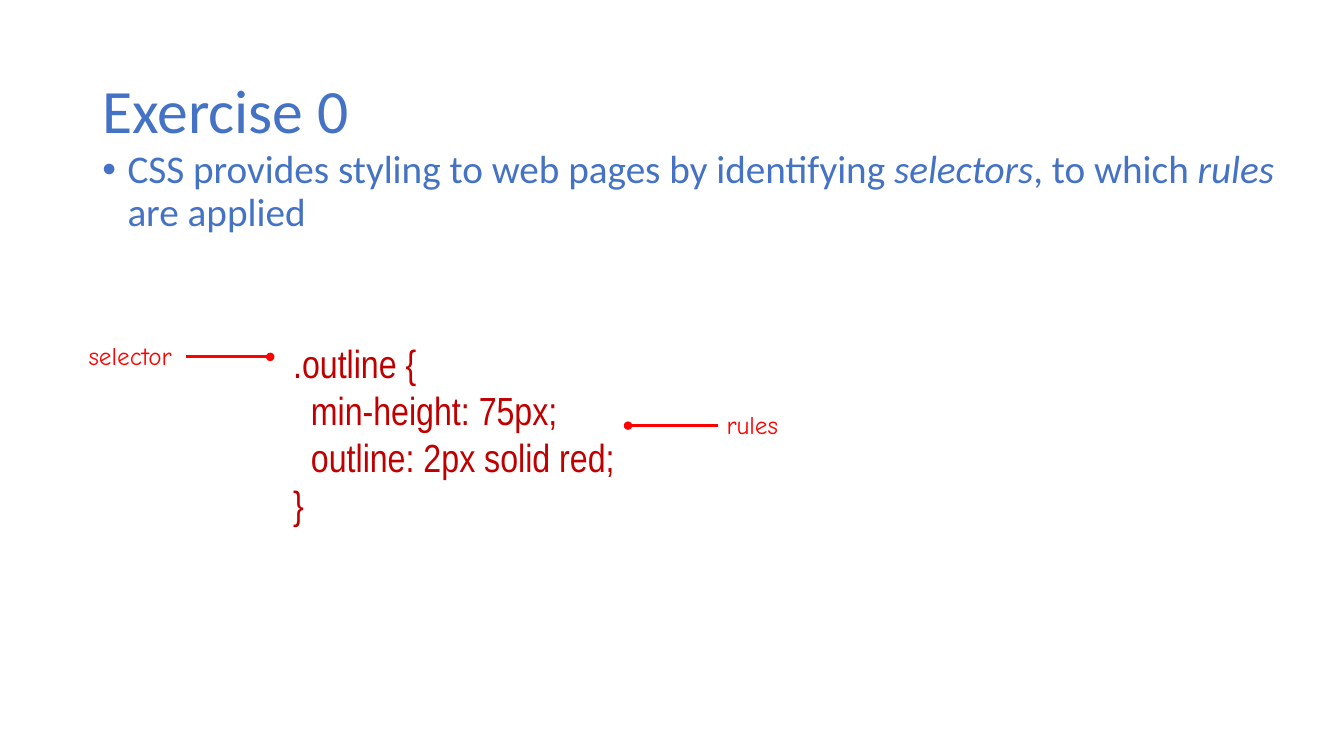
from lxml.etree import SubElement
from pptx import Presentation
from pptx.dml.color import RGBColor
from pptx.enum.shapes import MSO_CONNECTOR
from pptx.enum.text import MSO_ANCHOR, PP_ALIGN
from pptx.oxml.ns import qn
from pptx.util import Pt

COLORS = {"blue": "4472C4", "code": "C00000", "note": "FF0000"}

TITLE = "Exercise 0"
INTRO = [  # (text, italic)
    ("CSS provides styling to web pages by identifying ", False),
    ("selectors", True),
    (", to which ", False),
    ("rules ", True),
    ("are applied", False),
]
CODE = [  # (text, indent level)
    (".outline {", 0),
    ("min-height: 75px;", 1),
    ("outline: 2px solid red;", 1),
    ("}", 0),
]
CODE_INDENT = 12.75
LABELS = [  # (text, label left, label width, line start, line end, line y)
    ("selector", 56.2, 103, 133.2, 193, 254.9),
    ("rules", 511.9, 136.8, 512.6, 448.6, 304),
]
LABEL_HEIGHT = 28.8
LABEL_RISE = 15.5  # from the line up to the top of its label


def add_text(p, text, *, size, font, color, italic=False):
    r = p.add_run()
    r.text = text
    r.font.size = Pt(size)
    r.font.name = font
    r.font.italic = italic
    r.font.color.rgb = RGBColor.from_string(COLORS[color])


def add_box(slide, left, top, width, height):
    tf = slide.shapes.add_textbox(Pt(left), Pt(top), Pt(width), Pt(height)).text_frame
    tf.word_wrap = True
    return tf


def set_indent(p, margin, first=0, bullet=None):
    pPr = p._p.get_or_add_pPr()
    pPr.set("marL", str(Pt(margin)))
    pPr.set("indent", str(Pt(first)))
    if bullet:
        SubElement(pPr, qn("a:buFont"), typeface="Arial")
        SubElement(pPr, qn("a:buChar"), char=bullet)


def add_pointer(slide, start, end, y):
    """Draw a horizontal line with a dot at its end."""
    line = slide.shapes.add_connector(
        MSO_CONNECTOR.STRAIGHT, Pt(start), Pt(y), Pt(end), Pt(y))
    line.line.color.rgb = RGBColor.from_string(COLORS["note"])
    line.line.width = Pt(2)
    SubElement(line.line._get_or_add_ln(), qn("a:tailEnd"), type="oval")
    SubElement(line._element.spPr, qn("a:effectLst"))


def main():
    prs = Presentation()
    prs.slide_width, prs.slide_height = Pt(960), Pt(540)
    slide = prs.slides.add_slide(prs.slide_layouts[5])

    title = slide.shapes.title
    title.left, title.top, title.width, title.height = Pt(66), Pt(28.8), Pt(828), Pt(104.4)
    title.text_frame.vertical_anchor = MSO_ANCHOR.MIDDLE
    p = title.text_frame.paragraphs[0]
    p.alignment = PP_ALIGN.LEFT
    p.line_spacing = 0.9
    add_text(p, TITLE, size=44, font="Calibri", color="blue")

    p = add_box(slide, 66, 103.7, 855.4, 79.2).paragraphs[0]
    p.line_spacing = 0.9
    p.space_before = Pt(10)
    set_indent(p, 18, -18, "•")
    for text, italic in INTRO:
        add_text(p, text, size=28, font="Calibri", color="blue", italic=italic)

    tf = add_box(slide, 202.3, 239, 312.5, 143.3)
    for i, (text, level) in enumerate(CODE):
        p = tf.add_paragraph() if i else tf.paragraphs[0]
        set_indent(p, level * CODE_INDENT)
        add_text(p, text, size=28, font="Arial Narrow", color="code")

    for text, left, width, start, end, y in LABELS:
        add_pointer(slide, start, end, y)
        tf = add_box(slide, left, y - LABEL_RISE, width, LABEL_HEIGHT)
        add_text(tf.paragraphs[0], text, size=18, font="Comic Neue", color="note")

    prs.save("out.pptx")


if __name__ == "__main__":
    main()
